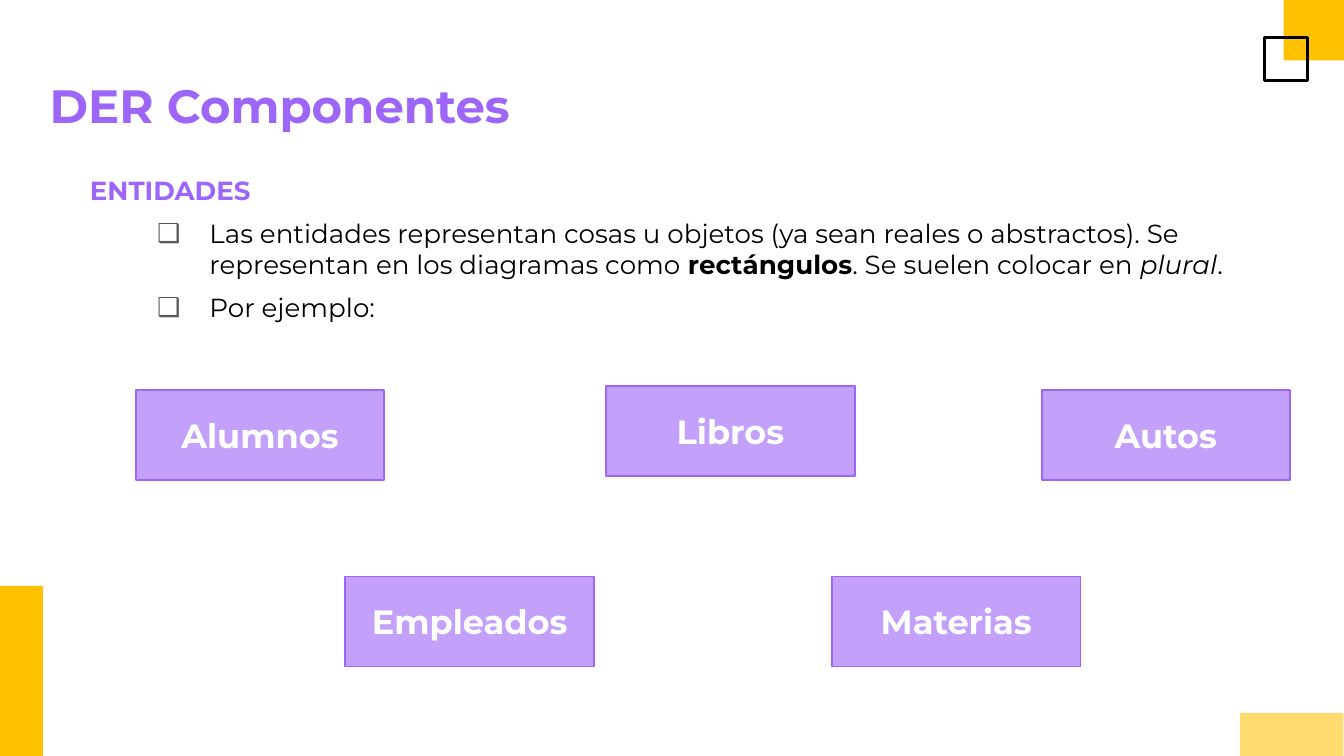
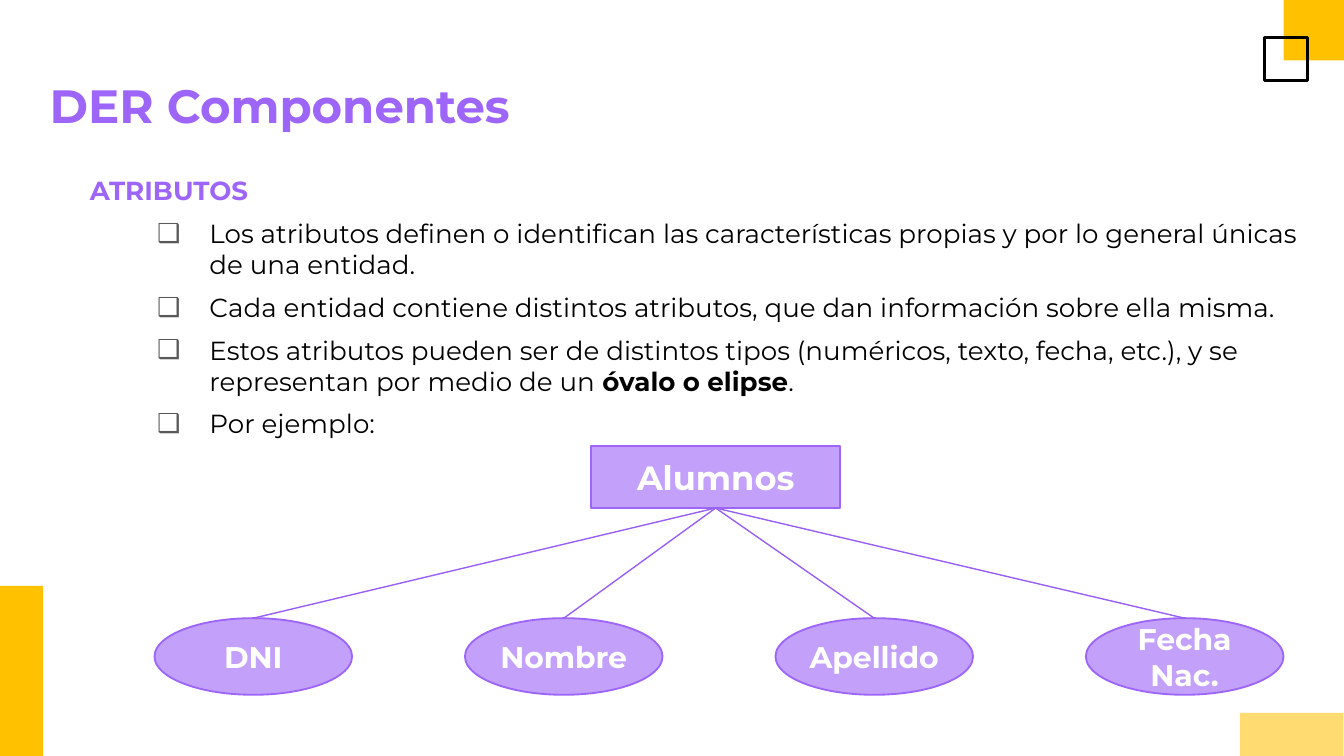
from lxml.etree import SubElement
from pptx import Presentation
from pptx.dml.color import RGBColor
from pptx.enum.shapes import MSO_CONNECTOR, MSO_SHAPE
from pptx.enum.text import MSO_ANCHOR, MSO_AUTO_SIZE, PP_ALIGN
from pptx.oxml.ns import qn
from pptx.util import Inches, Pt

FONT = "Montserrat"
COLORS = {
    "purple": "9D66F9",
    "lilac": "C3A1FB",
    "link": "985FF6",
    "yellow": "FFC100",
    "pale_yellow": "FFDB71",
    "bullet": "595959",
    "black": "000000",
    "white": "FFFFFF",
}
ENTITY_WIDTH = 1.85
OVAL_WIDTH, OVAL_HEIGHT = 1.47, 0.57


def color(name):
    return RGBColor.from_string(COLORS[name])


def add_text(paragraph, text, size=14, fill="black", bold=False, italic=False):
    run = paragraph.add_run()
    run.text = text
    font = run.font
    font.name, font.size = FONT, Pt(size)
    font.bold, font.italic = bold, italic
    font.color.rgb = color(fill)


def set_frame(frame, inset, anchor):
    frame.word_wrap = True
    frame.auto_size = MSO_AUTO_SIZE.NONE
    frame.vertical_anchor = anchor
    frame.margin_left = frame.margin_right = Inches(inset)
    frame.margin_top = frame.margin_bottom = Inches(inset)


def add_box(slide, kind, left, top, width, height, fill=None, line=None, line_width=1):
    shape = slide.shapes.add_shape(
        kind, Inches(left), Inches(top), Inches(width), Inches(height))
    shape.shadow.inherit = False
    if fill:
        shape.fill.solid()
        shape.fill.fore_color.rgb = color(fill)
    else:
        shape.fill.background()
    if line:
        shape.line.color.rgb = color(line)
        shape.line.width = Pt(line_width)
    else:
        shape.line.fill.background()
    return shape


def add_node(slide, text, left, top, width, height, kind=MSO_SHAPE.RECTANGLE, size=18):
    node = add_box(slide, kind, left, top, width, height, "lilac", "purple")
    set_frame(node.text_frame, 0, MSO_ANCHOR.MIDDLE)
    paragraph = node.text_frame.paragraphs[0]
    paragraph.alignment = PP_ALIGN.CENTER
    add_text(paragraph, text, size=size, fill="white", bold=True)
    return node


def add_link(slide, entity, oval):
    """Join the bottom of an entity to the top of an oval."""
    link = slide.shapes.add_connector(MSO_CONNECTOR.STRAIGHT, 0, 0, 0, 0)
    link.begin_connect(entity, 2)
    link.end_connect(oval, 0)
    link.line.color.rgb = color("link")
    link.line.width = Pt(0.75)
    SubElement(link._element.spPr, qn("a:effectLst"))


def set_bullet(paragraph):
    paragraph.level = 1
    paragraph.space_before = Pt(6)
    properties = paragraph._p.get_or_add_pPr()
    properties.set("marL", str(Inches(0.89)))
    properties.set("indent", str(Inches(-0.39)))
    bullet_color = SubElement(properties, qn("a:buClr"))
    SubElement(bullet_color, qn("a:srgbClr"), val=COLORS["bullet"])
    SubElement(properties, qn("a:buFont"), typeface=FONT)
    SubElement(properties, qn("a:buChar"), char="❑")


def add_content(slide, heading, bullets, height):
    """Each bullet is a list of (text, format) runs."""
    box = slide.shapes.add_textbox(
        Inches(0.57), Inches(1.2), Inches(9.25), Inches(height))
    frame = box.text_frame
    set_frame(frame, 0.1, MSO_ANCHOR.TOP)
    add_text(frame.paragraphs[0], heading, fill="purple", bold=True)
    for runs in bullets:
        paragraph = frame.add_paragraph()
        set_bullet(paragraph)
        for text, style in runs:
            add_text(paragraph, text, **style)
    paragraph.space_after = Pt(6)


def add_component_slide(presentation):
    """Slide with the shared title and corner decorations."""
    slide = presentation.slides.add_slide(presentation.slide_layouts[5])
    square = MSO_SHAPE.RECTANGLE
    add_box(slide, square, 9.55, 0, 0.45, 0.45, fill="yellow")
    add_box(slide, square, 0, 4.36, 0.32, 1.27, fill="yellow")
    add_box(slide, square, 9.41, 0.28, 0.32, 0.32, line="black", line_width=1.5)
    corner = add_box(slide, square, 9.45, 5.08, 0.32, 0.77, fill="pale_yellow")
    corner.rotation = 90

    title = slide.shapes.title
    title.left, title.top = Inches(0.27), Inches(0.47)
    title.width, title.height = Inches(9.47), Inches(0.63)
    set_frame(title.text_frame, 0.1, MSO_ANCHOR.TOP)
    paragraph = title.text_frame.paragraphs[0]
    paragraph.alignment = PP_ALIGN.LEFT
    add_text(paragraph, "DER Componentes", size=25, fill="purple", bold=True)
    return slide


def build_entities(presentation):
    slide = add_component_slide(presentation)
    add_content(slide, "ENTIDADES", [
        [("Las entidades representan cosas u objetos (ya sean reales o abstractos). "
          "Se representan en los diagramas como ", {}),
         ("rectángulos", {"bold": True}),
         (". Se suelen colocar en ", {}),
         ("plural", {"italic": True}),
         (".", {})],
        [("Por ejemplo:", {})],
    ], height=1.36)
    entities = [
        ("Alumnos", 1.01, 2.9), ("Libros", 4.51, 2.87), ("Autos", 7.75, 2.9),
        ("Empleados", 2.57, 4.29), ("Materias", 6.19, 4.29),
    ]
    for name, left, top in entities:
        add_node(slide, name, left, top, ENTITY_WIDTH, 0.67)


def build_attributes(presentation):
    slide = add_component_slide(presentation)
    add_content(slide, "ATRIBUTOS", [
        [("Los atributos definen o identifican las características propias "
          "y por lo general únicas de una entidad.", {})],
        [("Cada entidad contiene distintos atributos, que dan información "
          "sobre ella misma.", {})],
        [("Estos atributos pueden ser de distintos tipos (numéricos, texto, fecha, "
          "etc.), y se representan por medio de un ", {}),
         ("óvalo o elipse", {"bold": True}),
         (".", {})],
        [("Por ejemplo:", {})],
    ], height=2.11)
    entity = add_node(slide, "Alumnos", 4.4, 3.32, ENTITY_WIDTH, 0.46)

    # Evenly spaced attributes, then their links
    names = ["DNI", "Nombre", "Apellido", "Fecha Nac."]
    ovals = [
        add_node(slide, name, 1.15 + 2.31 * index, 4.6, OVAL_WIDTH, OVAL_HEIGHT,
                 kind=MSO_SHAPE.OVAL, size=16)
        for index, name in enumerate(names)
    ]
    for oval in ovals:
        add_link(slide, entity, oval)


def main():
    presentation = Presentation()
    # Widescreen, 16:9
    presentation.slide_width = Inches(10)
    presentation.slide_height = Inches(10) * 9 // 16
    build_entities(presentation)
    build_attributes(presentation)
    presentation.save("out.pptx")


if __name__ == "__main__":
    main()
